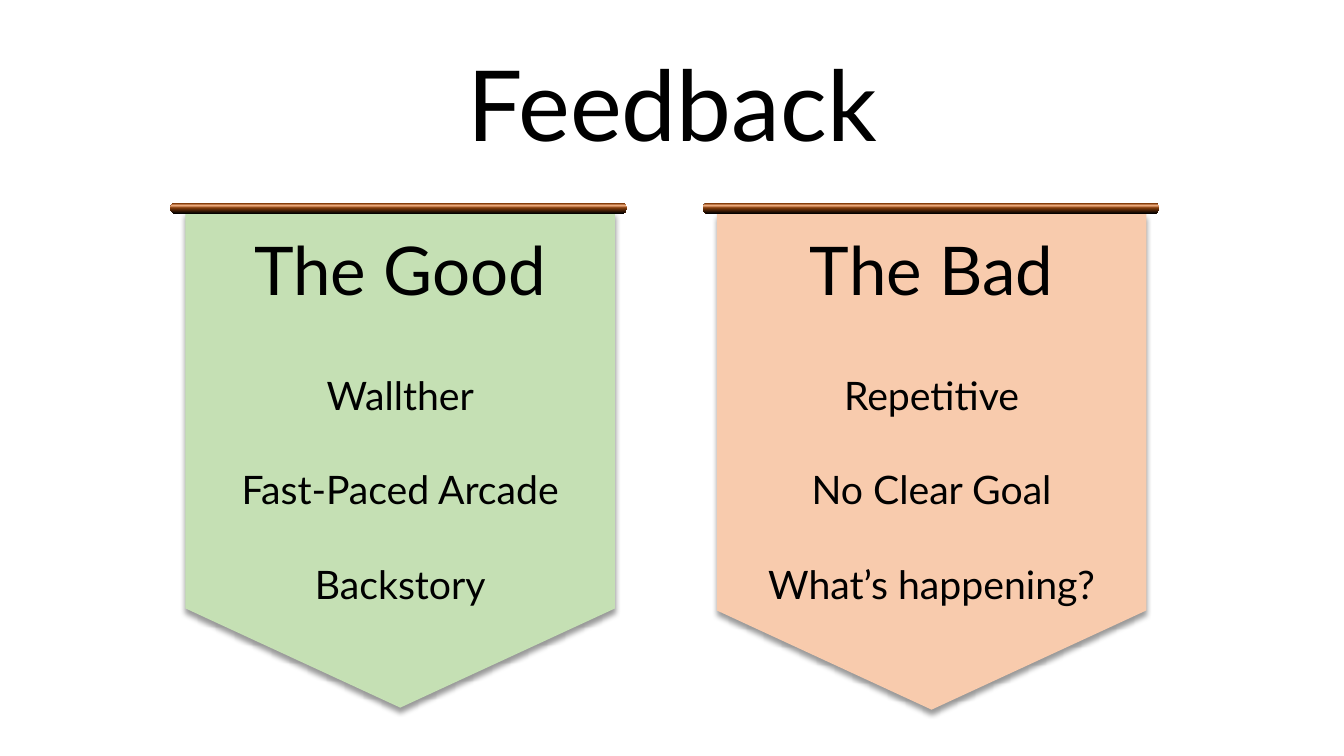
from pptx import Presentation
from pptx.dml.color import RGBColor
from pptx.enum.shapes import MSO_SHAPE
from pptx.enum.text import MSO_ANCHOR, MSO_AUTO_SIZE, PP_ALIGN
from pptx.oxml import parse_xml
from pptx.oxml.ns import nsdecls, qn
from pptx.util import Inches, Pt

BANNER = MSO_SHAPE.FLOWCHART_OFFPAGE_CONNECTOR
ROD = MSO_SHAPE.ROUNDED_RECTANGLE
TOP, CENTER = MSO_ANCHOR.TOP, PP_ALIGN.CENTER
FIXED = MSO_AUTO_SIZE.NONE

# Content
TITLE = "Feedback"
BANNERS = [
    {"heading": "The Good", "color": "good", "left": 1.84, "top": 2.1, "rod_left": 1.69,
     "points": ["Wallther", "Fast-Paced Arcade", "Backstory"]},
    {"heading": "The Bad", "color": "bad", "left": 7.11, "top": 2.12, "rod_left": 6.97,
     "points": ["Repetitive", "No Clear Goal", "What’s happening?"]},
]


class Theme:
    font = "Lato"
    text = RGBColor.from_string("000000")
    fills = {"good": "C5E0B4", "bad": "F8CBAD"}
    rod_stops = [(0, "0D0D0D"), (8, "843C0B"), (28, "F4B183"), (47, "843C0B"), (100, "000000")]
    title_size, heading_size, point_size = Pt(70), Pt(48), Pt(28)


# Layout, in inches
SLIDE_WIDTH, SLIDE_HEIGHT = 13.33, 7.5
BANNER_WIDTH, BANNER_HEIGHT = 4.26, 4.92
ROD_TOP, ROD_WIDTH, ROD_HEIGHT = 2.01, 4.53, 0.11
HEADING_TOP, HEADING_HEIGHT = 2.22, 0.91
POINTS_TOP, POINTS_HEIGHT = 3.17, 2.79


def write_lines(box, lines, size, spacing=None):
    frame = box.text_frame
    frame.word_wrap = True
    frame.auto_size = FIXED
    frame.vertical_anchor = TOP
    frame.text = "\n".join(lines)
    for para in frame.paragraphs:
        para.alignment = CENTER
        para.line_spacing = spacing or 1.0
        para.space_before = Pt(0)
        para.font.name = Theme.font
        para.font.size = size
        para.font.color.rgb = Theme.text


def add_text(page, lines, size, left, top, width, height, spacing=None):
    box = page.shapes.add_textbox(Inches(left), Inches(top), Inches(width), Inches(height))
    write_lines(box, lines, size, spacing)


def add_plain_shape(page, kind, left, top, width, height):
    shape = page.shapes.add_shape(kind, Inches(left), Inches(top), Inches(width), Inches(height))
    shape.shadow.inherit = False
    shape.line.fill.background()
    return shape


def add_banner(page, left, top, color):
    banner = add_plain_shape(page, BANNER, left, top, BANNER_WIDTH, BANNER_HEIGHT)
    banner.fill.solid()
    banner.fill.fore_color.rgb = RGBColor.from_string(color)
    # Soft shadow straight below
    effects = banner._element.spPr.find(qn("a:effectLst"))
    effects.append(parse_xml(
        f'<a:outerShdw {nsdecls("a")} blurRad="{Pt(4)}" dist="{Pt(3)}" dir="5400000" '
        'algn="t" rotWithShape="0"><a:srgbClr val="000000"><a:alpha val="40000"/>'
        '</a:srgbClr></a:outerShdw>'))


def add_rod(page, left):
    rod = add_plain_shape(page, ROD, left, ROD_TOP, ROD_WIDTH, ROD_HEIGHT)
    rod.adjustments[0] = 0.5
    rod.fill.gradient()
    rod.fill.gradient_angle = 270
    # Wooden sheen with five stops
    stops = rod._element.spPr.find(qn("a:gradFill")).find(qn("a:gsLst"))
    for stop in list(stops):
        stops.remove(stop)
    for percent, color in Theme.rod_stops:
        stops.append(parse_xml(
            f'<a:gs {nsdecls("a")} pos="{percent * 1000}"><a:srgbClr val="{color}"/></a:gs>'))


def main():
    deck = Presentation()
    deck.slide_width, deck.slide_height = Inches(SLIDE_WIDTH), Inches(SLIDE_HEIGHT)
    page = deck.slides.add_slide(deck.slide_layouts[5])

    # Title
    title = page.shapes.title
    title.left, title.top = Inches(0), Inches(0.38)
    title.width, title.height = Inches(SLIDE_WIDTH), Inches(1.28)
    write_lines(title, [TITLE], Theme.title_size)

    # Hanging banners
    for item in BANNERS:
        left = item["left"]
        add_banner(page, left, item["top"], Theme.fills[item["color"]])
        add_rod(page, item["rod_left"])
        add_text(page, [item["heading"]], Theme.heading_size,
                 left, HEADING_TOP, BANNER_WIDTH, HEADING_HEIGHT)
        add_text(page, item["points"], Theme.point_size,
                 left, POINTS_TOP, BANNER_WIDTH, POINTS_HEIGHT, spacing=2.0)

    deck.save("out.pptx")


if __name__ == "__main__":
    main()
